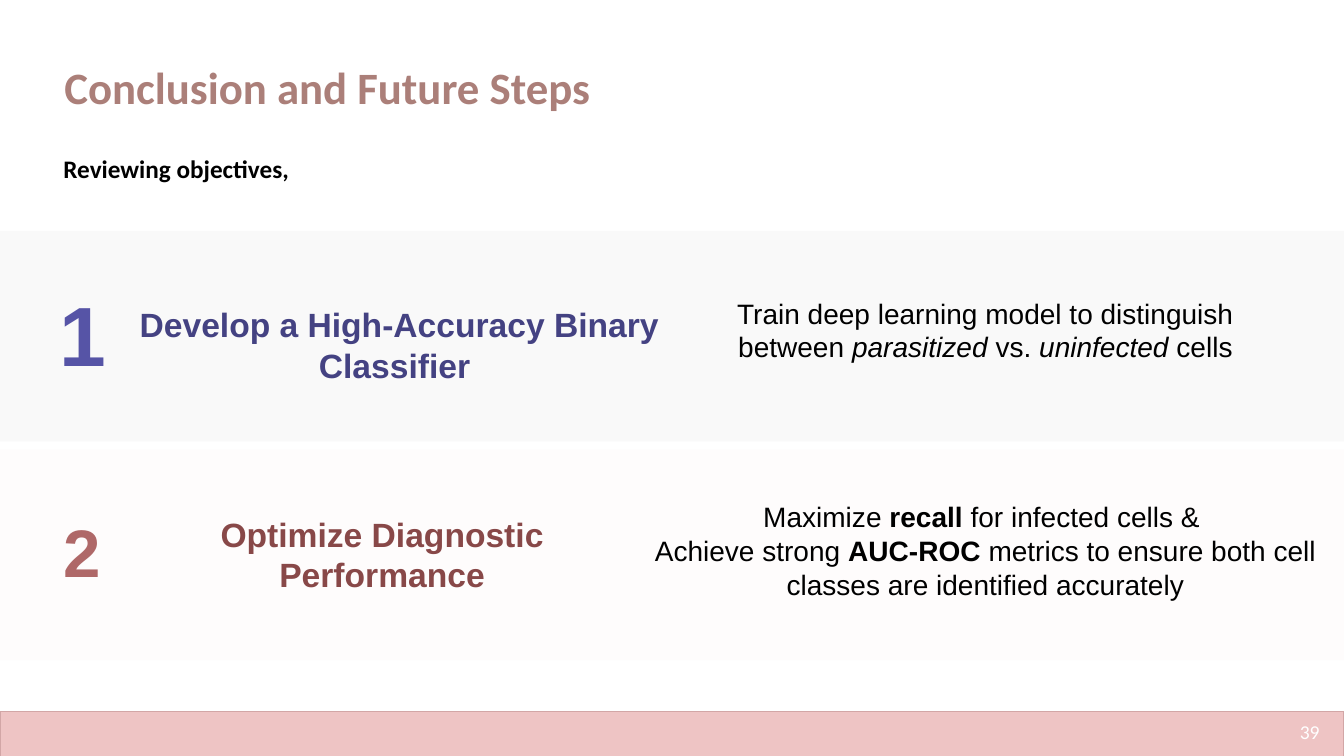
import pptx
import pptx.dml.color
import pptx.enum.shapes
import pptx.enum.text
import pptx.util
from dataclasses import dataclass

ALIGN = pptx.enum.text.PP_ALIGN
ANCHOR = pptx.enum.text.MSO_ANCHOR
FIT = pptx.enum.text.MSO_AUTO_SIZE


@dataclass(frozen=True)
class Theme:
    heading_font: str = "Calibri"
    body_font: str = "Arial"
    title: str = "AB7F79"
    ink: str = "000000"
    page: str = "FFFFFF"
    footer: str = "EEC4C4"
    footer_line: str = "D2A6A6"
    title_size: int = 32
    subtitle_size: int = 18
    goal_size: int = 24
    detail_size: int = 20
    page_size: int = 14


THEME = Theme()

# Boxes are left, top, width, height in percent of the slide.
TITLE = ("Conclusion and Future Steps", (4.05, 7.2, 48.83, 8.53))
SUBTITLE = ("Reviewing objectives,", (3.98, 19.6, 21.9, 5.33))
PAGE_NUMBER = ("39", (95.4, 94.13, 3.53, 5.33))
FOOTER_BOX = (0, 94.13, 100, 6.13)
BAND_HEIGHT = 27.87

# Detail paragraphs are lists of (text, style), style being "", "b" or "i".
OBJECTIVES = [
    {
        "band": ("F9F9F9", 30.53),
        "number": ("1", 60, "5654A6", (2.93, 36.67, 6.45, 14.8)),
        "goal": ("Develop a High-Accuracy Binary Classifier ", "444282",
                 (7.43, 39.6, 44.55, 12.13)),
        "detail": ([[("Train deep learning model to distinguish between ", ""),
                     ("parasitized", "i"), (" vs. ", ""),
                     ("uninfected", "i"), (" cells", "")]],
                   (50.03, 38.53, 42.83, 10.27)),
    },
    {
        "band": ("FEFCFC", 59.47),
        "number": ("2", 48, "AF6868", (3.98, 66.8, 3.3, 12.13)),
        "goal": ("Optimize Diagnostic Performance", "884848",
                 (9.23, 67.33, 38.4, 12.13)),
        "detail": ([[("Maximize ", ""), ("recall", "b"),
                     (" for infected cells & ", "")],
                    [("Achieve strong ", ""), ("AUC-ROC", "b"),
                     (" metrics to ensure both cell classes are identified accurately", "")]],
                   (43.43, 65.47, 56.03, 14.8)),
    },
]

presentation = pptx.Presentation()
presentation.slide_width = pptx.util.Inches(13.33)
presentation.slide_height = pptx.util.Inches(7.5)


def place(box):
    """Turn percentages of the slide into lengths."""
    sides = (presentation.slide_width, presentation.slide_height) * 2
    return [round(side * share / 100) for side, share in zip(sides, box)]


def rgb(color):
    return pptx.dml.color.RGBColor.from_string(color)


def add_band(slide, box, fill, line=None):
    shape = slide.shapes.add_shape(pptx.enum.shapes.MSO_SHAPE.RECTANGLE, *place(box))
    shape.shadow.inherit = False
    shape.fill.solid()
    shape.fill.fore_color.rgb = rgb(fill)
    if line:
        shape.line.color.rgb = rgb(line)
        shape.line.width = pptx.util.Pt(1)
    else:
        shape.line.fill.background()


def add_text(slide, box, paragraphs, font, size, color, align=ALIGN.CENTER,
             wrap=True, indented=False, anchor=ANCHOR.TOP, fit=FIT.SHAPE_TO_FIT_TEXT):
    frame = slide.shapes.add_textbox(*place(box)).text_frame
    frame.word_wrap = wrap
    frame.auto_size = fit
    frame.vertical_anchor = anchor
    for index, runs in enumerate(paragraphs):
        paragraph = frame.add_paragraph() if index else frame.paragraphs[0]
        paragraph.alignment = align
        if indented:
            paragraph.level = 1
            properties = paragraph._p.get_or_add_pPr()
            properties.set("marL", str(pptx.util.Inches(0.5)))
            properties.set("indent", "0")
        for text, style in runs:
            run = paragraph.add_run()
            run.text = text
            run.font.name = font
            run.font.size = pptx.util.Pt(size)
            run.font.color.rgb = rgb(color)
            run.font.bold = style == "b"
            run.font.italic = style == "i"


def main():
    slide = presentation.slides.add_slide(presentation.slide_layouts[6])
    slide.background.fill.solid()
    slide.background.fill.fore_color.rgb = rgb(THEME.page)

    for objective in OBJECTIVES:
        fill, top = objective["band"]
        add_band(slide, (0, top, 100, BAND_HEIGHT), fill)
    add_band(slide, FOOTER_BOX, THEME.footer, THEME.footer_line)

    for (text, box), size, color in ((TITLE, THEME.title_size, THEME.title),
                                     (SUBTITLE, THEME.subtitle_size, THEME.ink)):
        add_text(slide, box, [[(text, "b")]], THEME.heading_font, size, color,
                 align=ALIGN.LEFT, wrap=False)

    for objective in OBJECTIVES:
        number, size, color, box = objective["number"]
        add_text(slide, box, [[(number, "b")]], THEME.body_font, size, color)
        goal, color, box = objective["goal"]
        add_text(slide, box, [[(goal, "b")]], THEME.body_font, THEME.goal_size, color)
        paragraphs, box = objective["detail"]
        add_text(slide, box, paragraphs, THEME.body_font, THEME.detail_size,
                 THEME.ink, indented=True)

    text, box = PAGE_NUMBER
    add_text(slide, box, [[(text, "")]], THEME.heading_font, THEME.page_size, THEME.page,
             align=ALIGN.RIGHT, anchor=ANCHOR.MIDDLE, fit=FIT.NONE)
    presentation.save("out.pptx")


if __name__ == "__main__":
    main()
